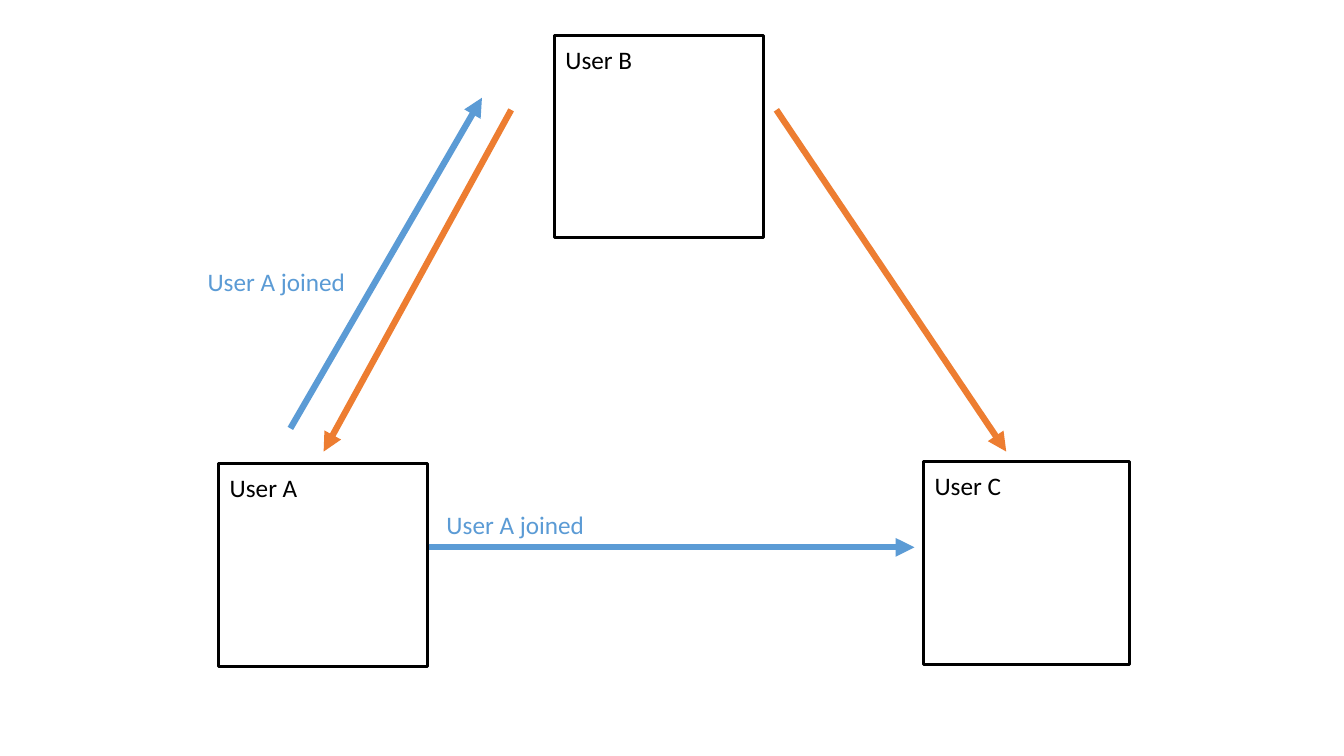
from dataclasses import dataclass

import lxml.etree
import pptx
import pptx.dml.color
import pptx.enum.shapes
import pptx.enum.text
import pptx.oxml.ns
import pptx.util

Inches = pptx.util.Inches


@dataclass(frozen=True)
class Theme:
    font: str = "Calibri"
    text_size: float = 18
    border_width: float = 2.25
    arrow_width: float = 4.5
    black: str = "000000"
    joined: str = "5B9BD5"
    reply: str = "ED7D31"


THEME = Theme()
BOX_HEIGHT = 2.01
LABEL_HEIGHT = 0.4


def rgb(color):
    return pptx.dml.color.RGBColor.from_string(color)


def add_label(slide, text, left, top, width, color):
    label = slide.shapes.add_textbox(
        Inches(left), Inches(top), Inches(width), Inches(LABEL_HEIGHT))
    frame = label.text_frame
    frame.word_wrap = True
    frame.auto_size = pptx.enum.text.MSO_AUTO_SIZE.SHAPE_TO_FIT_TEXT
    paragraph = frame.paragraphs[0]
    paragraph.text = text
    paragraph.font.name = THEME.font
    paragraph.font.size = pptx.util.Pt(THEME.text_size)
    paragraph.font.color.rgb = rgb(color)


def add_user(slide, name, left, top, width):
    user = slide.shapes.add_shape(
        pptx.enum.shapes.MSO_SHAPE.RECTANGLE,
        Inches(left), Inches(top), Inches(width), Inches(BOX_HEIGHT))
    user.shadow.inherit = False
    user.fill.background()
    user.line.color.rgb = rgb(THEME.black)
    user.line.width = pptx.util.Pt(THEME.border_width)
    add_label(slide, name, left + 0.01, top + 0.04, width - 0.02, THEME.black)


def add_arrow(slide, start, end, color):
    arrow = slide.shapes.add_connector(
        pptx.enum.shapes.MSO_CONNECTOR.STRAIGHT,
        *(Inches(value) for value in start + end))
    arrow.line.color.rgb = rgb(color)
    arrow.line.width = pptx.util.Pt(THEME.arrow_width)
    # Arrowhead at the end, no shadow
    qn = pptx.oxml.ns.qn
    lxml.etree.SubElement(arrow.line._get_or_add_ln(), qn("a:tailEnd"), type="triangle")
    lxml.etree.SubElement(arrow._element.spPr, qn("a:effectLst"))


def main():
    deck = pptx.Presentation()
    deck.slide_width, deck.slide_height = Inches(13.33), Inches(7.5)
    slide = deck.slides.add_slide(deck.slide_layouts[6])

    # Users
    add_user(slide, "User A", 2.17, 4.6, 2.07)
    add_user(slide, "User B", 5.5, 0.35, 2.07)
    add_user(slide, "User C", 9.16, 4.58, 2.04)

    # User A announces itself to B and C
    add_arrow(slide, (2.88, 4.25), (4.78, 0.97), THEME.joined)
    add_arrow(slide, (4.25, 5.43), (9.07, 5.43), THEME.joined)
    add_label(slide, "User A joined", 4.33, 5, 1.98, THEME.joined)
    add_label(slide, "User A joined", 1.96, 2.59, 1.65, THEME.joined)

    # User B sends on to A and C
    reply_top, reply_bottom = 1.09, 4.48
    for start_x, end_x in ((5.07, 3.21), (7.7, 9.98)):
        add_arrow(slide, (start_x, reply_top), (end_x, reply_bottom), THEME.reply)

    deck.save("out.pptx")


main()
